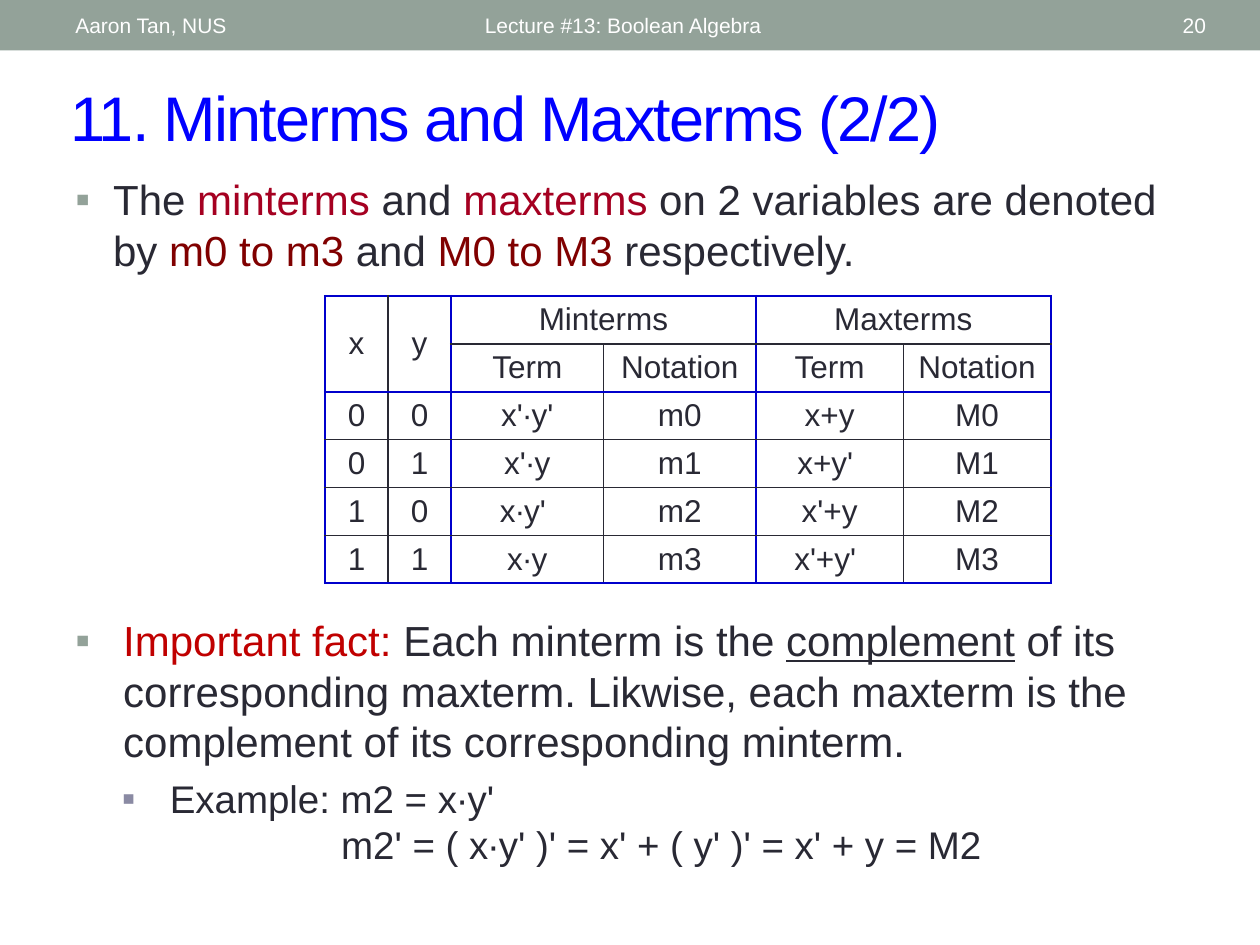
from lxml.etree import SubElement
from pptx import Presentation
from pptx.dml.color import RGBColor
from pptx.enum.shapes import MSO_SHAPE
from pptx.enum.text import MSO_ANCHOR, PP_ALIGN
from pptx.oxml.ns import qn
from pptx.util import Inches, Pt

COLORS = {
    "band": "93A299",
    "white": "FFFFFF",
    "title": "0000FF",
    "text": "292934",
    "term": "A50021",
    "notation": "800000",
    "fact": "C00000",
    "sub_bullet": "8A8AA3",
    "frame": "0000CC",
}
COLUMN_WIDTHS = [0.5, 0.5, 1.21, 1.21, 1.17, 1.17]
ROW_HEIGHT = 0.38
TABLE_ROWS = [
    ["x", "y", "Minterms", "", "Maxterms", ""],
    ["", "", "Term", "Notation", "Term", "Notation"],
    ["0", "0", "x'∙y'", "m0", "x+y", "M0"],
    ["0", "1", "x'∙y", "m1", "x+y' ", "M1"],
    ["1", "0", "x∙y' ", "m2", "x'+y", "M2"],
    ["1", "1", "x∙y", "m3", "x'+y' ", "M3"],
]
MERGES = [(0, 0, 1, 0), (0, 1, 1, 1), (0, 2, 0, 3), (0, 4, 0, 5)]


def color(name):
    return RGBColor.from_string(COLORS[name])


def format_font(font, size, color_name):
    font.name = "Arial"
    font.size = Pt(size)
    font.color.rgb = color(color_name)


def add_text_frame(slide, left, top, width, height, anchor=MSO_ANCHOR.TOP):
    box = slide.shapes.add_textbox(Inches(left), Inches(top), Inches(width), Inches(height))
    text_frame = box.text_frame
    text_frame.word_wrap = True
    text_frame.vertical_anchor = anchor
    return text_frame


def add_label(slide, text, place, size, color_name, align=PP_ALIGN.LEFT):
    text_frame = add_text_frame(slide, *place, anchor=MSO_ANCHOR.MIDDLE)
    text_frame.text = text
    paragraph = text_frame.paragraphs[0]
    paragraph.alignment = align
    format_font(paragraph.runs[0].font, size, color_name)
    return paragraph


def add_header(slide):
    band = slide.shapes.add_shape(MSO_SHAPE.RECTANGLE, 0, 0, Inches(10), Inches(0.4))
    band.shadow.inherit = False
    band.fill.solid()
    band.fill.fore_color.rgb = color("band")
    band.line.fill.background()
    add_label(slide, "Aaron Tan, NUS", (0.5, 0.02, 3.17, 0.36), 12, "white")
    add_label(slide, "Lecture #13: Boolean Algebra", (3.75, 0.02, 4.5, 0.36), 12, "white")
    add_label(slide, "20", (8.72, 0.02, 0.95, 0.36), 12, "white", PP_ALIGN.RIGHT)


def add_title(slide):
    place = (0.46, 0.57, 9.07, 0.7)
    paragraph = add_label(slide, "11. Minterms and Maxterms (2/2)", place, 36, "title")
    paragraph.runs[0].font._element.set("spc", "-100")


def write_runs(paragraph, size, runs):
    for text, color_name in runs:
        run = paragraph.add_run()
        run.text = text
        format_font(run.font, size, color_name)


def set_indent(paragraph, margin, hanging=0.0):
    properties = paragraph._p.get_or_add_pPr()
    properties.set("marL", str(Inches(margin)))
    properties.set("indent", str(-Inches(hanging)))
    return properties


def set_bullet(paragraph, margin, hanging, color_name):
    paragraph.space_before = Pt(5)
    properties = set_indent(paragraph, margin, hanging)
    bullet_color = SubElement(properties, qn("a:buClr"))
    SubElement(bullet_color, qn("a:srgbClr"), val=COLORS[color_name])
    SubElement(properties, qn("a:buFont"), typeface="Arial")
    SubElement(properties, qn("a:buChar"), char="▪")


def add_definition(slide):
    paragraph = add_text_frame(slide, 0.5, 1.33, 8.83, 1).paragraphs[0]
    set_bullet(paragraph, 0.3, 0.3, "band")
    write_runs(paragraph, 24, [
        ("The ", "text"),
        ("minterms", "term"),
        (" and ", "text"),
        ("maxterms", "term"),
        (" on 2 variables are denoted by ", "text"),
        ("m0 to m3", "notation"),
        (" and ", "text"),
        ("M0 to M3", "notation"),
        (" respectively.", "text"),
    ])


def add_important_fact(slide):
    text_frame = add_text_frame(slide, 0.5, 4.83, 9, 2.35)
    fact = text_frame.paragraphs[0]
    set_bullet(fact, 0.38, 0.38, "band")
    write_runs(fact, 24, [
        ("Important fact: ", "fact"),
        ("Each minterm is the ", "text"),
        ("complement", "text"),
        (" of its corresponding maxterm. Likwise, each maxterm is the "
         "complement of its corresponding minterm.", "text"),
    ])
    fact.runs[2].font.underline = True

    example = text_frame.add_paragraph()
    example.level = 1
    set_bullet(example, 0.75, 0.38, "sub_bullet")
    write_runs(example, 22, [("Example: m2 = x∙y'", "text")])

    derivation = text_frame.add_paragraph()
    derivation.level = 1
    set_indent(derivation, 2.11)
    write_runs(derivation, 22, [("m2' = ( x∙y' )' = x' + ( y' )' = x' + y = M2", "text")])


def set_borders(cell, row, column):
    last_row = row + cell.span_height - 1
    last_column = column + cell.span_width - 1
    framed = {
        "a:lnL": column % 2 == 0,
        "a:lnR": last_column % 2 == 1,
        "a:lnT": row in (0, 2),
        "a:lnB": last_row in (1, 5),
    }
    properties = cell._tc.get_or_add_tcPr()
    for tag, is_frame in framed.items():
        line = SubElement(properties, qn(tag), w=str(Pt(1.5 if is_frame else 1)))
        fill = SubElement(line, qn("a:solidFill"))
        SubElement(fill, qn("a:srgbClr"), val=COLORS["frame" if is_frame else "text"])


def fill_cell(cell, text, row, column):
    cell.vertical_anchor = MSO_ANCHOR.MIDDLE
    cell.margin_top = cell.margin_bottom = Inches(0.03)
    if not cell.is_spanned:
        set_borders(cell, row, column)
        cell.text_frame.text = text
        paragraph = cell.text_frame.paragraphs[0]
        paragraph.alignment = PP_ALIGN.CENTER
        format_font(paragraph.runs[0].font, 18, "text")
    cell.fill.background()


def add_term_table(slide):
    frame = slide.shapes.add_table(
        len(TABLE_ROWS), len(COLUMN_WIDTHS), Inches(2.58), Inches(2.35),
        Inches(sum(COLUMN_WIDTHS)), Inches(ROW_HEIGHT * len(TABLE_ROWS)))
    table = frame.table
    table.first_row = table.horz_banding = False
    for column, width in zip(table.columns, COLUMN_WIDTHS):
        column.width = Inches(width)
    for top, left, bottom, right in MERGES:
        table.cell(top, left).merge(table.cell(bottom, right))
    for row, texts in enumerate(TABLE_ROWS):
        table.rows[row].height = Inches(ROW_HEIGHT)
        for column, text in enumerate(texts):
            fill_cell(table.cell(row, column), text, row, column)


def main():
    presentation = Presentation()
    presentation.slide_width = Inches(10)
    presentation.slide_height = Inches(7.5)
    slide = presentation.slides.add_slide(presentation.slide_layouts[6])
    add_header(slide)
    add_title(slide)
    add_definition(slide)
    add_important_fact(slide)
    add_term_table(slide)
    presentation.save("out.pptx")


if __name__ == "__main__":
    main()
